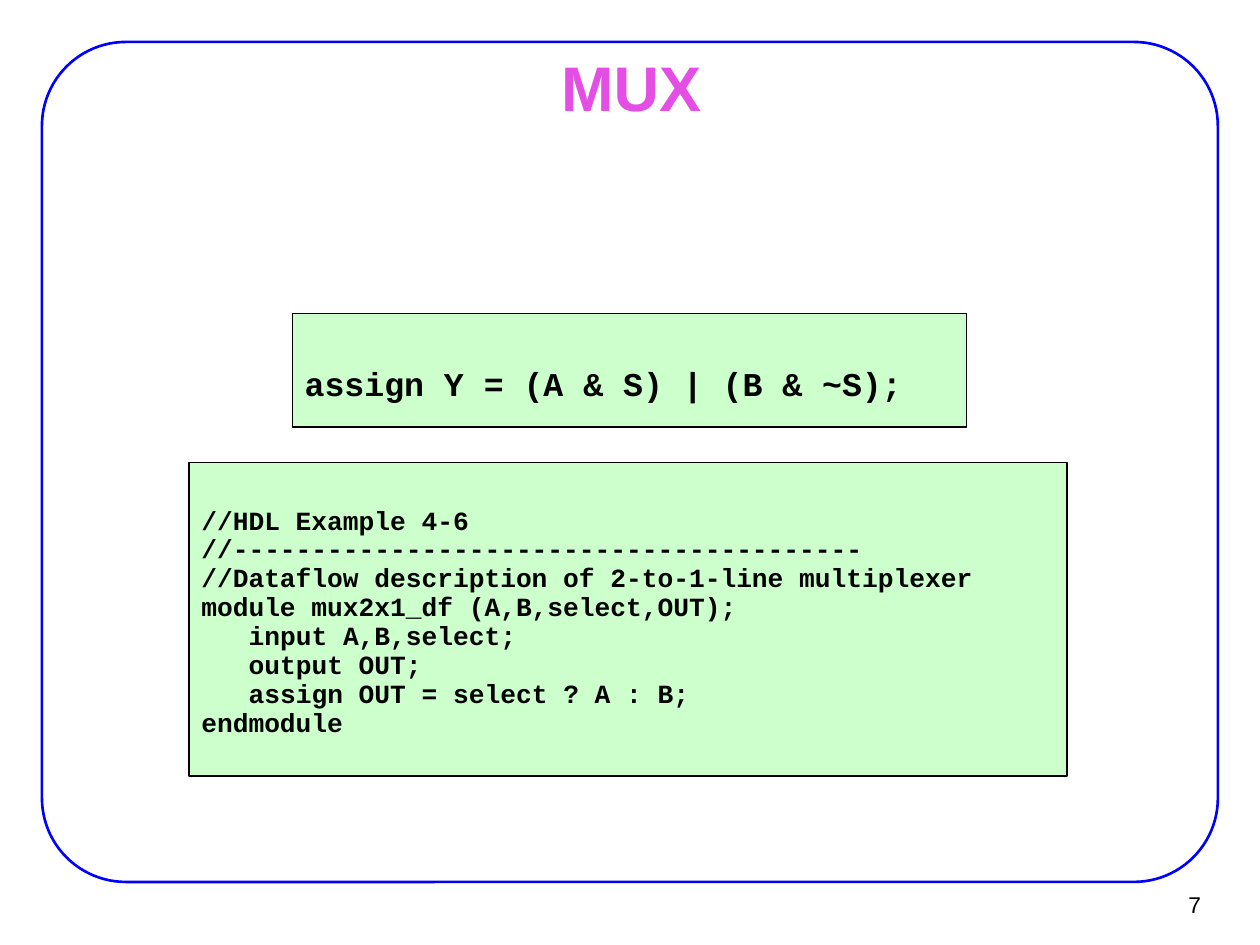
import dataclasses

import pptx
import pptx.dml.color
import pptx.enum.shapes
import pptx.enum.text
import pptx.util

Inches, Pt = pptx.util.Inches, pptx.util.Pt
Align = pptx.enum.text.PP_ALIGN
Anchor = pptx.enum.text.MSO_ANCHOR
Preset = pptx.enum.shapes.MSO_SHAPE


@dataclasses.dataclass(frozen=True)
class Theme:
    frame: str = "0000FF"
    title: str = "E44EE4"
    ink: str = "000000"
    code_fill: str = "CCFFCC"
    text_font: str = "Arial"
    code_font: str = "Courier New"
    title_size: float = 36
    formula_size: float = 19
    listing_size: float = 15
    number_size: float = 13
    code_leading: float = 1.1
    code_character: float = 0.6


class SlideBuilder:
    """Draws on one page; every box is (left, top, width, height) in percent of the slide."""

    def __init__(self, deck, theme):
        self.deck, self.theme = deck, theme
        self.page = deck.slides.add_slide(deck.slide_layouts[5])

    def place(self, box):
        width, height = self.deck.slide_width, self.deck.slide_height
        return [int(share * side / 100)
                for share, side in zip(box, (width, height, width, height))]

    def style(self, para, size, color, font, bold, align):
        para.alignment = align
        para.font.size = Pt(size)
        para.font.name = font
        para.font.bold = bold
        para.font.color.rgb = pptx.dml.color.RGBColor.from_string(color)

    def panel(self, preset, box, line, line_width, fill=None):
        shape = self.page.shapes.add_shape(preset, *self.place(box))
        shape.shadow.inherit = False
        shape.line.color.rgb = pptx.dml.color.RGBColor.from_string(line)
        shape.line.width = Pt(line_width)
        if fill:
            shape.fill.solid()
            shape.fill.fore_color.rgb = pptx.dml.color.RGBColor.from_string(fill)
        else:
            shape.fill.background()
        return shape

    def frame(self, box, rounding):
        shape = self.panel(Preset.ROUNDED_RECTANGLE, box, self.theme.frame, 1.5)
        shape.adjustments[0] = rounding

    def title(self, text, box):
        holder = self.page.shapes.title
        holder.left, holder.top, holder.width, holder.height = self.place(box)
        holder.text_frame.text = text
        holder.text_frame.vertical_anchor = Anchor.MIDDLE
        self.style(holder.text_frame.paragraphs[0], self.theme.title_size,
                   self.theme.title, self.theme.text_font, True, Align.CENTER)

    def number(self, text, box):
        frame = self.page.shapes.add_textbox(*self.place(box)).text_frame
        frame.word_wrap = False
        frame.vertical_anchor = Anchor.MIDDLE
        frame.text = text
        self.style(frame.paragraphs[0], self.theme.number_size, self.theme.ink,
                   self.theme.text_font, False, Align.RIGHT)

    def code(self, lines, box, size, top_margin):
        """Draw a code panel from (indent in characters, text) lines."""
        theme = self.theme
        frame = self.panel(Preset.RECTANGLE, box, theme.ink, 0.75, theme.code_fill).text_frame
        frame.word_wrap = True
        frame.vertical_anchor = Anchor.TOP
        frame.margin_top = Inches(top_margin)
        for index, (indent, text) in enumerate(lines):
            para = frame.add_paragraph() if index else frame.paragraphs[0]
            para.text = text
            para.line_spacing = Pt(size * theme.code_leading)
            self.style(para, size, theme.ink, theme.code_font, True, Align.LEFT)
            if indent:
                margin = Pt(indent * size * theme.code_character)
                para._p.get_or_add_pPr().set("marL", str(int(margin)))


def main():
    deck = pptx.Presentation()
    deck.slide_width, deck.slide_height = Inches(10), Inches(7.5)
    theme = Theme()
    slide = SlideBuilder(deck, theme)

    slide.frame((3.33, 4.44, 93.33, 88.89), rounding=0.1)
    slide.number("7", (90.2, 93.2, 6.1, 4.93))
    slide.title("MUX", (7.6, 5.87, 85, 6.53))
    slide.code([(0, "assign Y = (A & S) | (B & ~S);")],
               (23.2, 33.2, 53.5, 12), theme.formula_size, top_margin=0.42)
    slide.code([
        (0, "//HDL Example 4-6"),
        (0, "//" + "-" * 40),
        (0, "//Dataflow description of 2-to-1-line multiplexer"),
        (0, "module mux2x1_df (A,B,select,OUT);"),
        (3, "input A,B,select;"),
        (3, "output OUT;"),
        (3, "assign OUT = select ? A : B;"),
        (0, "endmodule"),
    ], (15, 48.93, 69.7, 33.2), theme.listing_size, top_margin=0.35)

    deck.save("out.pptx")


if __name__ == "__main__":
    main()
